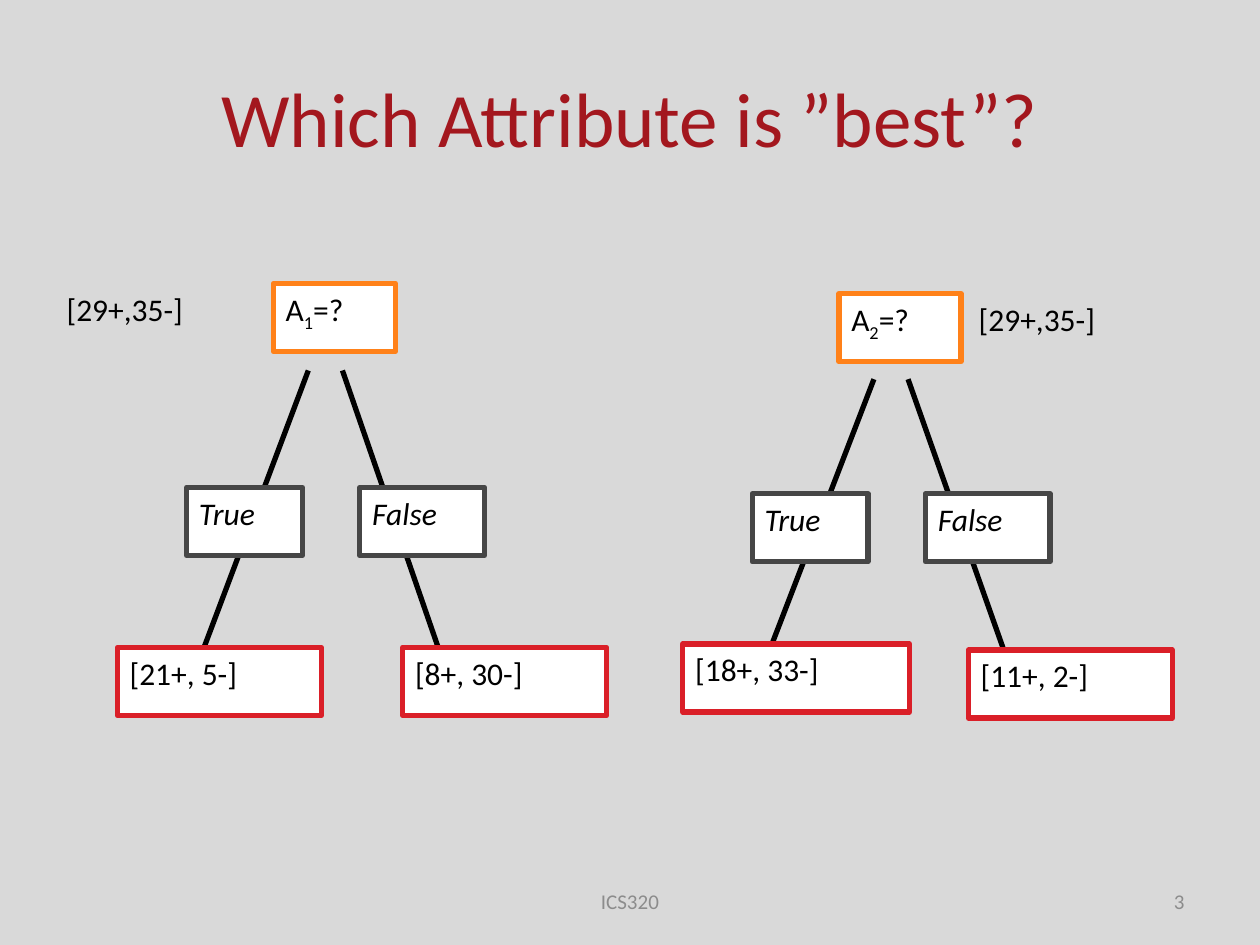
"""Build a slide that compares two decision trees split on different attributes."""
from dataclasses import dataclass

from pptx import Presentation
from pptx.dml.color import RGBColor
from pptx.enum.shapes import MSO_CONNECTOR as Conn, MSO_SHAPE as Shp
from pptx.enum.text import MSO_ANCHOR as Anchor, PP_ALIGN as Align
from pptx.oxml.ns import qn
from pptx.util import Pt
from lxml.etree import SubElement

FONT = "Calibri"
BLACK, WHITE, GREY = "000000", "FFFFFF", "8C8C8C"
ORANGE, CHARCOAL, RED, TITLE_RED = "FF8119", "464646", "DA1F28", "A3171E"
BACKGROUND = "D9D9D9"
BOX_H = 38.9


@dataclass
class Leaf:
    text: str
    y: float
    w: float = 116.6


@dataclass
class Tree:
    index: str
    x: float
    root_y: float
    line_top: float
    line_end: float
    branch_y: float
    count_x: float
    leaves: tuple[Leaf, Leaf]


TREES = [
    Tree("1", 67, 162, 211.7, 370, 278.6, 31,
         (Leaf("[21+, 5-]", 370), Leaf("[8+, 30-]", 370))),
    Tree("2", 390.2, 167.8, 216.7, 371.5, 282.2, 552.2,
         (Leaf("[18+, 33-]", 368, 129.6), Leaf("[11+, 2-]", 371.5))),
]


def rgb(color: str) -> RGBColor:
    return RGBColor.from_string(color)


def write(tf, text: str, *, size=18, color=BLACK, italic=False,
          align=Align.LEFT, anchor=Anchor.TOP, sub="", tail="") -> None:
    tf.word_wrap = True
    tf.vertical_anchor = anchor
    p = tf.paragraphs[0]
    p.alignment = align
    for part, baseline in ((text, 0), (sub, -25000), (tail, 0)):
        if not part:
            continue
        r = p.add_run()
        r.text = part
        r.font.name, r.font.size, r.font.italic = FONT, Pt(size), italic
        r.font.color.rgb = rgb(color)
        if baseline:
            r.font._element.set("baseline", str(baseline))


def add_text(shapes, text: str, x: float, y: float, w: float, h: float, **fmt) -> None:
    tb = shapes.add_textbox(Pt(x), Pt(y), Pt(w), Pt(h))
    write(tb.text_frame, text, **fmt)


def add_box(shapes, text: str, x: float, y: float, w: float, line: str, **fmt) -> None:
    sp = shapes.add_shape(Shp.RECTANGLE, Pt(x), Pt(y), Pt(w), Pt(BOX_H))
    sp.shadow.inherit = False
    sp.fill.solid()
    sp.fill.fore_color.rgb = rgb(WHITE)
    sp.line.color.rgb = rgb(line)
    sp.line.width = Pt(3)
    write(sp.text_frame, text, **fmt)


def add_line(shapes, x1: float, y1: float, x2: float, y2: float) -> None:
    ln = shapes.add_connector(Conn.STRAIGHT, Pt(x1), Pt(y1), Pt(x2), Pt(y2))
    ln.line.color.rgb = rgb(BLACK)
    ln.line.width = Pt(3)
    SubElement(ln._element.spPr, qn("a:effectLst"))


def add_tree(s, t: Tree) -> None:
    shapes = s.shapes.add_group_shape().shapes
    for start, end in ((109.2, 49.6), (128.7, 183.4)):
        add_line(shapes, t.x + start, t.line_top, t.x + end, t.line_end)
    add_box(shapes, "A", t.x + 89.2, t.root_y, 69.8, ORANGE, sub=t.index, tail="=?")
    for text, dx, w in (("True", 39.6, 66.2), ("False", 138.6, 71.3)):
        add_box(shapes, text, t.x + dx, t.branch_y, w, CHARCOAL, italic=True)
    for leaf, dx in zip(t.leaves, (0, 163.1)):
        add_box(shapes, leaf.text, t.x + dx, leaf.y, leaf.w, RED)
    add_text(shapes, "[29+,35-]", t.count_x, t.root_y, 118.8, 36)


def main() -> None:
    prs = Presentation()
    prs.slide_width, prs.slide_height = Pt(720), Pt(540)
    s = prs.slides.add_slide(prs.slide_layouts[5])
    s.background.fill.solid()
    s.background.fill.fore_color.rgb = rgb(BACKGROUND)

    title = s.shapes.title
    title.left, title.top, title.width, title.height = Pt(36), Pt(21.6), Pt(648), Pt(90)
    write(title.text_frame, "Which Attribute is ”best”?", size=44, color=TITLE_RED,
          align=Align.CENTER, anchor=Anchor.MIDDLE)

    for t in TREES:
        add_tree(s, t)

    for text, x, w, align in (("ICS320", 246, 228, Align.CENTER),
                              ("3", 516, 168, Align.RIGHT)):
        add_text(s.shapes, text, x, 500.5, w, 28.8, size=12, color=GREY,
                 align=align, anchor=Anchor.MIDDLE)
    prs.save("out.pptx")


if __name__ == "__main__":
    main()
